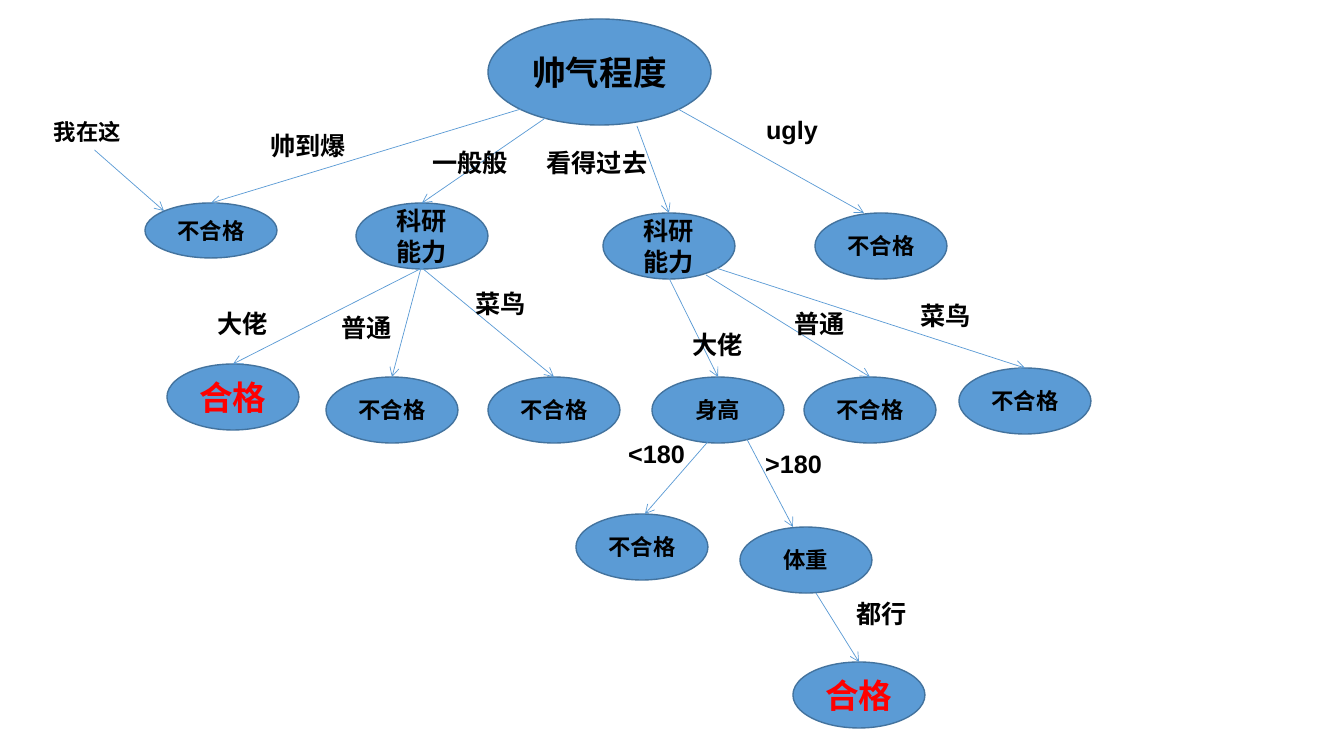
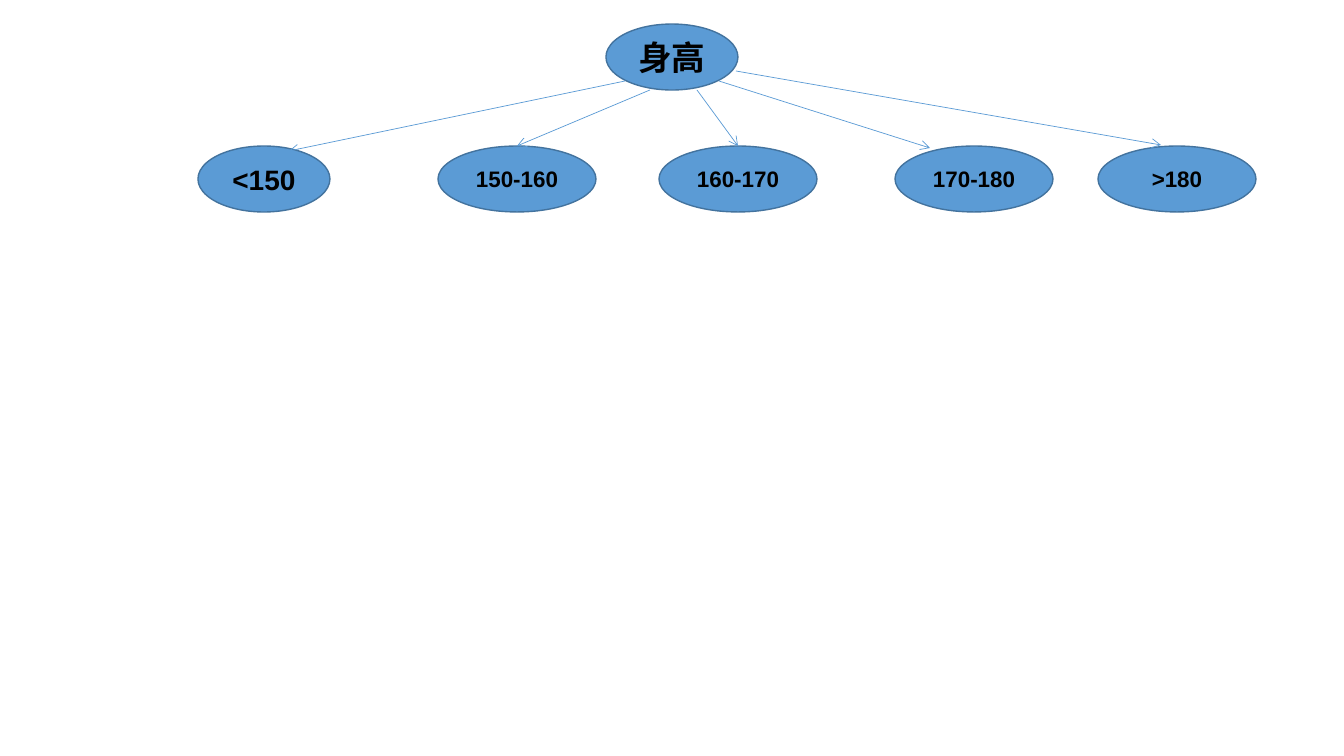
from dataclasses import dataclass

from lxml.etree import SubElement
from pptx import Presentation
from pptx.dml.color import RGBColor
from pptx.enum.shapes import MSO_CONNECTOR, MSO_SHAPE
from pptx.enum.text import MSO_ANCHOR, MSO_AUTO_SIZE, PP_ALIGN
from pptx.oxml.ns import qn
from pptx.util import Emu, Pt

NODE_FILL = RGBColor(0x5B, 0x9B, 0xD5)
NODE_LINE = RGBColor(0x43, 0x73, 0x9E)
BLACK = RGBColor(0, 0, 0)
RED = RGBColor(0xFF, 0, 0)
FONT = "Arial"
NODE_W, NODE_H, WIDE_W = 132, 66, 158
LABEL_H = 40


@dataclass
class Child:
    """One child node; at, start and label are measured from the parent's corner."""
    text: str
    at: tuple
    start: tuple
    tip: tuple = (0, 0)
    label: str = ""
    label_at: tuple = (0, 0)
    label_w: int = 71
    width: int = NODE_W
    height: int = NODE_H
    size: int = 16
    color: RGBColor = BLACK


def px(*values):
    """Turn pixels into EMU."""
    return [Emu(round(v * 914400 / 100.8)) for v in values]


def write(tf, text, size=18, color=BLACK, align=PP_ALIGN.CENTER, wrap=True):
    """Write one bold paragraph into a text frame."""
    tf.word_wrap = wrap
    p = tf.paragraphs[0]
    p.alignment = align
    r = p.add_run()
    r.text = text
    r.font.name, r.font.size, r.font.bold = FONT, Pt(size), True
    r.font.color.rgb = color


def node(s, box, text, **fmt):
    """Draw an ellipse with centred text."""
    sp = s.shapes.add_shape(MSO_SHAPE.OVAL, *px(*box))
    sp.shadow.inherit = False
    sp.fill.solid()
    sp.fill.fore_color.rgb = NODE_FILL
    sp.line.color.rgb = NODE_LINE
    sp.line.width = Pt(1)
    sp.text_frame.vertical_anchor = MSO_ANCHOR.MIDDLE
    write(sp.text_frame, text, **fmt)


def label(s, box, text, **fmt):
    """Draw a text box that grows with its text."""
    tf = s.shapes.add_textbox(*px(*box)).text_frame
    tf.auto_size = MSO_AUTO_SIZE.SHAPE_TO_FIT_TEXT
    write(tf, text, **fmt)


def arrow(s, x1, y1, x2, y2):
    """Draw a thin line with an open arrowhead at its end."""
    line = s.shapes.add_connector(MSO_CONNECTOR.STRAIGHT, *px(x1, y1, x2, y2))
    line.line.color.rgb = NODE_FILL
    line.line.width = Pt(0.5)
    SubElement(line.line._get_or_add_ln(), qn("a:tailEnd"), type="arrow")
    SubElement(line._element.spPr, qn("a:effectLst"))


def branch(s, box, children):
    """Draw the children of the node in box and return their boxes."""
    x, y = box[:2]
    boxes = [(x + c.at[0], y + c.at[1], c.width, c.height) for c in children]
    for c, b in zip(children, boxes):
        node(s, b, c.text, size=c.size, color=c.color)
    for c, (left, top, width, _) in zip(children, boxes):
        arrow(s, x + c.start[0], y + c.start[1],
              left + width / 2 + c.tip[0], top + c.tip[1])
        if c.label:
            label(s, (x + c.label_at[0], y + c.label_at[1], c.label_w, LABEL_H),
                  c.label, wrap=False)
    return boxes


def looks_level(s, box):
    """Draw the root and its four children, returning the children's boxes."""
    node(s, box, "帅气程度", size=24)
    return branch(s, box, [
        Child("不合格", (-343, 184), (33, 90), label="帅到爆",
              label_at=(-228, 106), label_w=96, height=55),
        Child("科研能力", (-132, 184), (72, 89), label="一般般",
              label_at=(-66, 123), label_w=96, size=18),
        Child("科研能力", (115, 194), (149, 107), label="看得过去",
              label_at=(48, 123), label_w=122, size=18),
        Child("不合格", (327, 194), (190, 90), tip=(-17, 0), label="ugly",
              label_at=(268, 90), label_w=72),
    ])


def average_research(s, box):
    """Draw the outcomes of research skill for average looks."""
    branch(s, box, [
        Child("合格", (-189, 161), (66, 65), label="大佬", label_at=(-149, 100),
              size=24, color=RED),
        Child("不合格", (-30, 174), (65, 65), label="普通", label_at=(-25, 104)),
        Child("不合格", (132, 174), (66, 65), label="菜鸟", label_at=(109, 80)),
    ])


def decent_research(s, box):
    """Draw the outcomes of research skill for decent looks."""
    return branch(s, box, [
        Child("身高", (49, 164), (66, 65), label="大佬", label_at=(79, 111)),
        Child("不合格", (201, 164), (103, 62), label="普通", label_at=(181, 90)),
        Child("不合格", (356, 155), (113, 55), label="菜鸟", label_at=(307, 82)),
    ])


def height_and_weight(s, box):
    """Draw the height split and the weight step under it."""
    _, weight = branch(s, box, [
        Child("不合格", (-76, 137), (67, 52), tip=(3, 0), label="<180",
              label_at=(-34, 56), label_w=77),
        Child("体重", (88, 150), (88, 49), tip=(-13, 0), label=">180",
              label_at=(103, 66), label_w=77),
    ])
    branch(s, weight, [
        Child("合格", (53, 135), (76, 66), label="都行", label_at=(106, 66),
              size=24, color=RED),
    ])


def here_note(s, box):
    """Draw the note that points at the leftmost node."""
    x, y, width, height = box
    label(s, box, "我在这", size=16, align=PP_ALIGN.LEFT)
    arrow(s, x + width / 2, y + height, x + 120, y + 98)


def decision_tree(s):
    """Draw the whole decision tree."""
    _, average, decent, _ = looks_level(s, (488, 19, 223, 106))
    average_research(s, average)
    height = decent_research(s, decent)[0]
    height_and_weight(s, height)
    here_note(s, (44, 113, 101, 37))


def height_ranges(s, box):
    """Draw the height node and its five ranges."""
    node(s, box, "身高", size=24)
    branch(s, box, [
        Child("<150", (-408, 122), (19, 57), tip=(25, 5), size=20),
        Child("150-160", (-168, 122), (44, 66), width=WIDE_W),
        Child("160-170", (53, 122), (91, 66), width=WIDE_W),
        Child("170-180", (289, 122), (113, 57), tip=(-44, 2), width=WIDE_W),
        Child(">180", (492, 122), (130, 47), tip=(-16, -1), width=WIDE_W),
    ])


def main():
    """Build and save the presentation."""
    prs = Presentation()
    prs.slide_width, prs.slide_height = px(1344, 756)
    blank = prs.slide_layouts[6]
    decision_tree(prs.slides.add_slide(blank))
    height_ranges(prs.slides.add_slide(blank), (606, 24, NODE_W, NODE_H))
    prs.save("out.pptx")


main()
